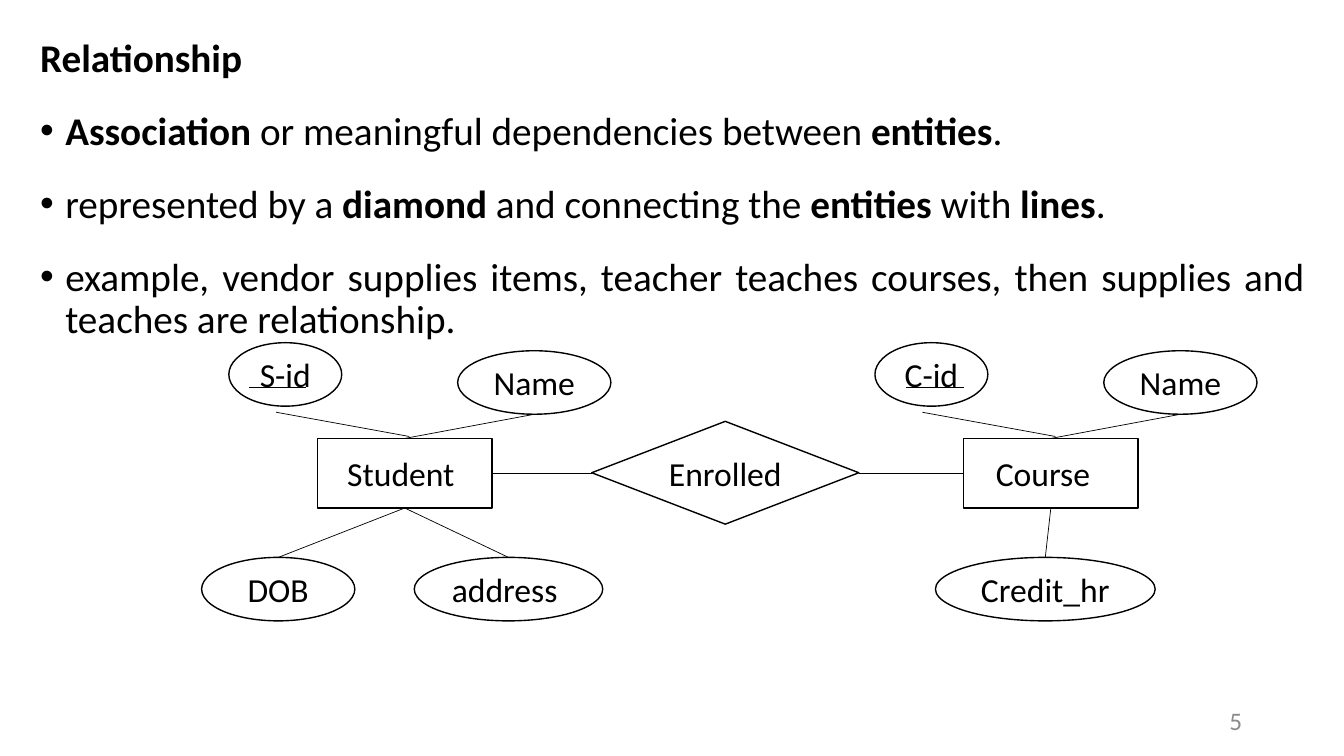
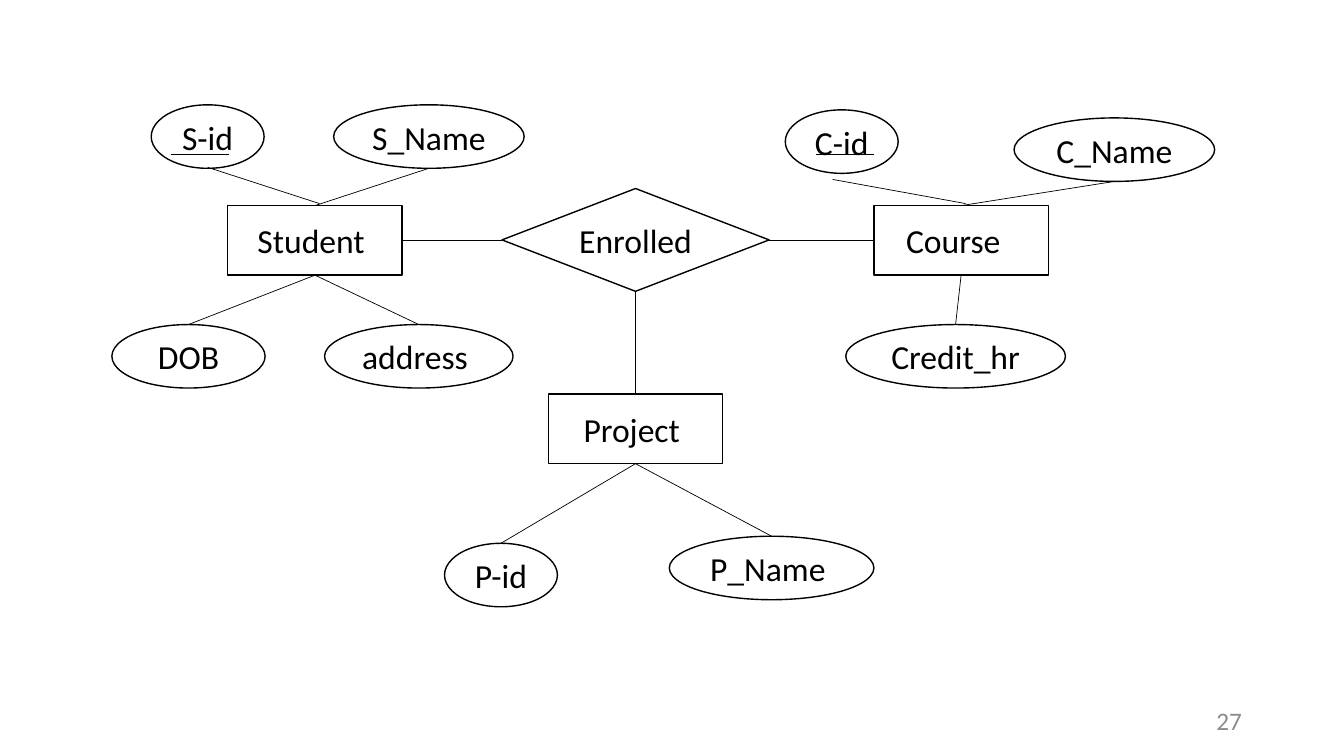
from pptx import Presentation as Deck
from pptx.dml.color import RGBColor as Rgb
from pptx.enum.shapes import MSO_CONNECTOR as Wire, MSO_SHAPE as Kind
from pptx.enum.text import MSO_ANCHOR as Anchor, PP_ALIGN as Align
from pptx.oxml.ns import qn
from pptx.util import Inches, Pt
from lxml.etree import SubElement as Sub

COLS, ROWS = 133.33, 75
BOX = 17.3, 6.9
KEY = 11.2
TALL = 6.3
GEM = 26.5, 10.2
FAR = 64.1
DROP = 11.8
MID = BOX[0] / 2

POINTS = [
    "|Association| or meaningful dependencies between |entities|.",
    "represented by a |diamond| and connecting the |entities| with |lines|.",
    "example, vendor supplies items, teacher teaches courses, "
    "then supplies and teaches are relationship.",
]


def cell(count):
    return Inches(count / 10)


def ink(code):
    return Rgb.from_string(code)


def put(target, values):
    for name, value in values.items():
        setattr(target, name, value)


class Board:
    font = "Calibri"
    black, white, grey = "000000", "FFFFFF", "8C8C8C"
    prose = dict(alignment=Align.JUSTIFY, line_spacing=0.9,
                 space_before=Pt(10), space_after=Pt(12))

    def __init__(self):
        self.deck = Deck()
        put(self.deck, dict(slide_width=cell(COLS), slide_height=cell(ROWS)))

    def page(self, number, left, top):
        self.slide = self.deck.slides.add_slide(self.deck.slide_layouts[6])
        self.left, self.top = left, top
        frame = self.text(94.2, 69.5, 30, 4)
        frame.vertical_anchor = Anchor.MIDDLE
        para = frame.paragraphs[0]
        para.alignment = Align.RIGHT
        self.run(para, str(number), 18, self.grey)

    def text(self, x, y, wide, tall):
        box = self.slide.shapes.add_textbox(*map(cell, (x, y, wide, tall)))
        box.text_frame.word_wrap = True
        return box.text_frame

    def run(self, para, words, size, code=black, bold=False):
        run = para.add_run()
        run.text = words
        put(run.font, dict(name=self.font, size=Pt(size), bold=bold))
        run.font.color.rgb = ink(code)

    def prose_box(self, head, points):
        frame = self.text(3, 3.3, 127.4, 66.2)
        para = frame.paragraphs[0]
        put(para, self.prose)
        self.run(para, head, 28, bold=True)
        for point in points:
            para = frame.add_paragraph()
            put(para, self.prose)
            props = para._p.get_or_add_pPr()
            props.set("marL", str(Inches(0.25)))
            props.set("indent", str(-Inches(0.25)))
            Sub(props, qn("a:buFont")).set("typeface", "Arial")
            Sub(props, qn("a:buChar")).set("char", "•")
            for spot, words in enumerate(point.split("|")):
                if words:
                    self.run(para, words, 28, bold=spot % 2 == 1)

    def node(self, kind, words, x, y, wide, tall, pad=1):
        spot = map(cell, (self.left + x, self.top + y, wide, tall))
        shape = self.slide.shapes.add_shape(kind, *spot)
        shape.shadow.inherit = False
        shape.fill.solid()
        shape.fill.fore_color.rgb = ink(self.white)
        shape.line.color.rgb = ink(self.black)
        shape.line.width = Pt(1)
        frame = shape.text_frame
        put(frame, dict(word_wrap=True, vertical_anchor=Anchor.MIDDLE,
                        margin_right=cell(pad)))
        para = frame.paragraphs[0]
        para.alignment = Align.CENTER
        self.run(para, words, 24)

    def box(self, words, x, y, pad=1):
        self.node(Kind.RECTANGLE, words, x, y, *BOX, pad)

    def oval(self, words, x, y, wide):
        self.node(Kind.OVAL, words, x, y, wide, TALL)

    def line(self, x, y, to_x, to_y):
        ends = (self.left + x, self.top + y, self.left + to_x, self.top + to_y)
        wire = self.slide.shapes.add_connector(Wire.STRAIGHT, *map(cell, ends))
        wire.line.color.rgb = ink(self.black)
        wire.line.width = Pt(0.5)
        Sub(wire._element.spPr, qn("a:effectLst"))

    def crown(self, x, key, key_at, bar, stem, name, name_at, wide):
        self.oval(key, x + key_at[0], key_at[1], KEY)
        self.line(x + bar, -5.1, x + bar + 5.7, -5.1)
        self.line(x + stem[0], stem[1], x + 9.1, -0.2)
        self.oval(name, x + name_at[0], name_at[1], wide)
        self.line(x + MID, 0, x + name_at[0] + wide / 2, name_at[1] + TALL)

    def leaf(self, words, x, y, wide, root_x, root_y):
        self.oval(words, x, y, wide)
        self.line(root_x, root_y, x + wide / 2, y)

    def course(self, name, wide):
        self.crown(FAR, "C-id", (-8.8, -9.5), -5.7, (-4.1, -2.6),
                   name, (13.9, -8.7), wide)

    def core(self):
        wide, tall = BOX
        half = tall / 2
        gem_x = 27.2
        self.box("Student ", 0, 0)
        self.leaf("DOB", -11.5, DROP, 15.2, MID, tall)
        self.leaf("address ", 9.6, DROP, 18.7, MID, tall)
        self.box("Course ", FAR, 0, 1.8)
        self.leaf("Credit_hr", 61.3, DROP, 21.8, FAR + MID, tall)
        self.node(Kind.FLOWCHART_DECISION, "Enrolled", gem_x, -1.7, *GEM)
        self.line(wide, half, gem_x, half)
        self.line(gem_x + GEM[0], half, FAR, half)

    def project(self):
        x, y = 31.8, 18.7
        root, base = x + MID, y + BOX[1]
        self.box("Project ", x, y)
        self.line(root, 8.5, root, y)
        self.leaf("P-id", 21.5, 33.5, KEY, root, base)
        self.leaf("P_Name ", 43.8, 32.8, 20.3, root, base)


def main():
    board = Board()

    board.page(5, 31.5, 43.5)
    board.prose_box("Relationship", POINTS)
    board.core()
    board.crown(0, "S-id", (-8.8, -9.5), -6.8, (-4.1, -2.6),
                "Name ", (13.9, -8.7), 15.2)
    board.course("Name ", 15.2)

    board.page(27, 22.6, 20.4)
    board.core()
    board.crown(0, "S-id", (-7.6, -10), -5.6, (-2, -3.8),
                "S_Name ", (10.5, -10), 18.9)
    board.course("C_Name ", 19.9)
    board.project()

    board.deck.save("out.pptx")


if __name__ == "__main__":
    main()
